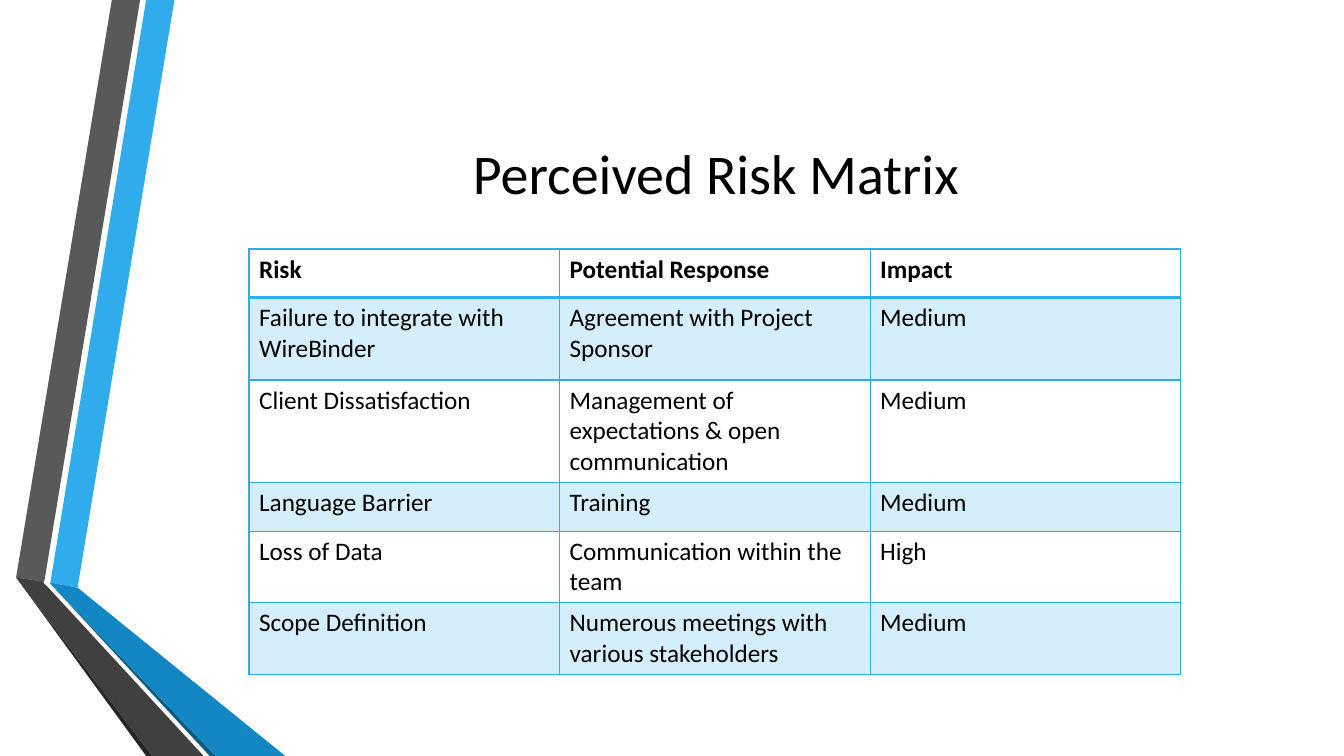
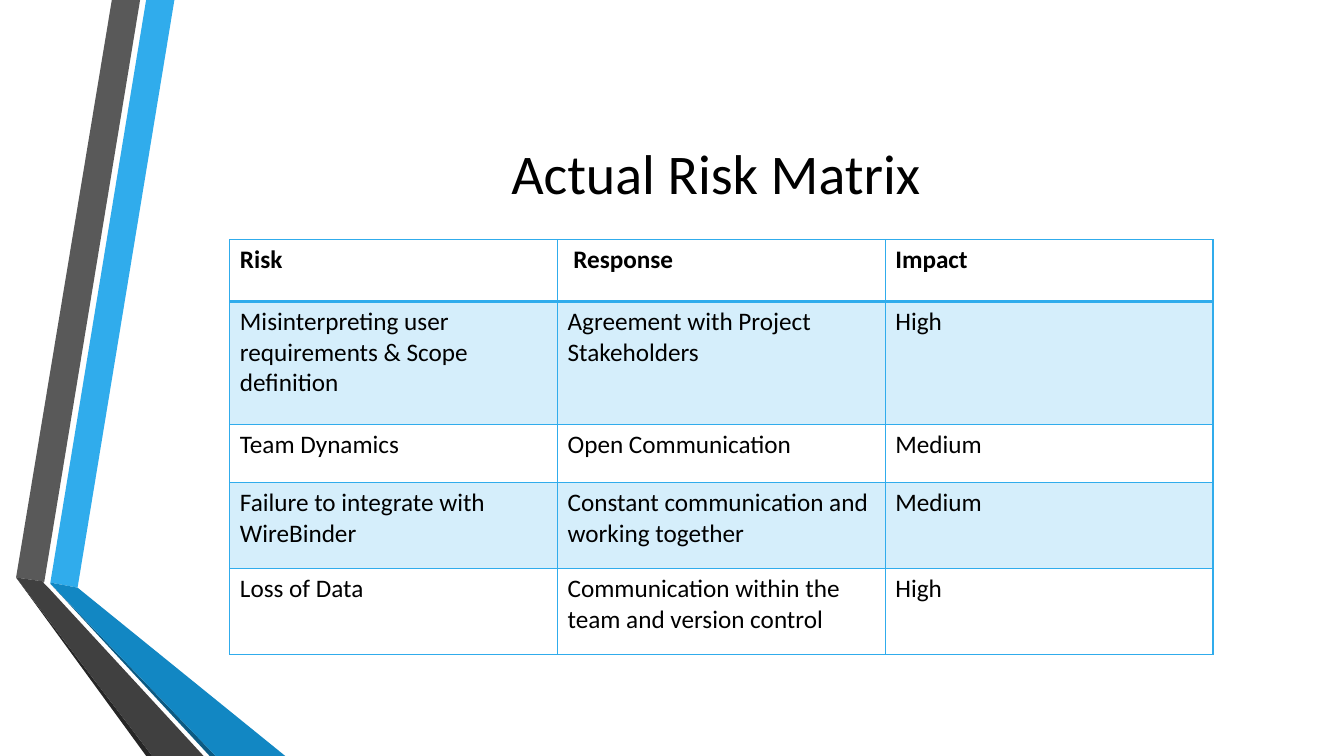
from lxml import etree
from pptx import Presentation
from pptx import util as u
from pptx.dml.color import RGBColor
from pptx.enum import text
from pptx.oxml.ns import qn

FONT, BLACK, SKY = "Calibri", "000000", "30ACEC"
TITLE_BOX = (1.62, 0.75, 10.96, 1.92)
BAND_OPACITY = 20
THIN, THICK = 1, 2

RIBBONS = [
    (SKY, [(0.5, 5.78), (0.77, 5.83), (1.73, 0), (1.45, 0)]),
    ("595959", [(1.39, 0), (1.11, 0), (0.16, 5.73), (0.44, 5.77)]),
    ("262626", [(0.16, 5.73), (1.45, 7.5), (1.51, 7.5)]),
    ("0C5A82", [(0.5, 5.79), (2.08, 7.5), (2.14, 7.5)]),
    ("1287C3", [(0.5, 5.79), (2.14, 7.5), (2.83, 7.5), (0.77, 5.83), (0.5, 5.78)]),
    ("404040", [(2.02, 7.5), (0.48, 5.83), (0.43, 5.78), (0.44, 5.77),
                (0.16, 5.73), (1.51, 7.5)]),
]

MATRICES = [
    {
        "title": "Perceived Risk Matrix",
        "corner": (2.47, 2.47),
        "column": 3.08,
        "heights": [0.48, 0.82, 1.02, 0.48, 0.71, 0.71],
        "rows": [
            ("Risk", "Potential Response", "Impact"),
            ("Failure to integrate with WireBinder", "Agreement with Project Sponsor", "Medium"),
            ("Client Dissatisfaction", "Management of expectations & open communication", "Medium"),
            ("Language Barrier", "Training", "Medium"),
            ("Loss of Data", "Communication within the team", "High"),
            ("Scope Definition", "Numerous meetings with various stakeholders", "Medium"),
        ],
    },
    {
        "title": "Actual Risk Matrix",
        "corner": (2.28, 2.38),
        "column": 3.25,
        "heights": [0.61, 1.22, 0.58, 0.85, 0.85],
        "rows": [
            ("Risk", " Response", "Impact"),
            ("Misinterpreting user requirements & Scope definition",
             "Agreement with Project Stakeholders", "High"),
            ("Team Dynamics", "Open Communication", "Medium"),
            ("Failure to integrate with WireBinder",
             "Constant communication and working together", "Medium"),
            ("Loss of Data", "Communication within the team and version control", "High"),
        ],
    },
]


def color(value):
    return RGBColor.from_string(value)


def write(para, words, size, bold=False):
    span = para.add_run()
    span.text = words
    for name, value in {"name": FONT, "size": u.Pt(size), "bold": bold}.items():
        setattr(span.font, name, value)
    span.font.color.rgb = color(BLACK)


def add_ribbons(page, layout):
    """Draw the ribbons on a page, then move them behind everything in its layout."""
    for index, (fill, points) in enumerate(RIBBONS):
        corners = [(u.Inches(x), u.Inches(y)) for x, y in points]
        builder = page.shapes.build_freeform(*corners[0])
        builder.add_line_segments(corners[1:], close=True)
        ribbon = builder.convert_to_shape()
        ribbon.shadow.inherit = False
        ribbon.fill.solid()
        ribbon.fill.fore_color.rgb = color(fill)
        ribbon.line.fill.background()
        layout.element.cSld.spTree.insert(2 + index, ribbon.element)


def add_title(page, words):
    title = page.shapes.title
    for name, value in zip(("left", "top", "width", "height"), TITLE_BOX):
        setattr(title, name, u.Inches(value))
    title.text_frame.vertical_anchor = text.MSO_ANCHOR.MIDDLE
    para = title.text_frame.paragraphs[0]
    para.alignment = text.PP_ALIGN.CENTER
    write(para, words, 40)


def set_borders(cell, widths):
    properties = cell._tc.get_or_add_tcPr()
    for index, (side, width) in enumerate(widths.items()):
        line = etree.Element(qn(f"a:{side}"), w=str(u.Pt(width)))
        fill = etree.SubElement(line, qn("a:solidFill"))
        etree.SubElement(fill, qn("a:srgbClr"), val=SKY)
        properties.insert(index, line)


def set_fill(cell, banded):
    if not banded:
        cell.fill.background()
        return
    cell.fill.solid()
    cell.fill.fore_color.rgb = color(SKY)
    tint = cell._tc.tcPr.find(f"{qn('a:solidFill')}/{qn('a:srgbClr')}")
    etree.SubElement(tint, qn("a:alpha"), val=str(BAND_OPACITY * 1000))


def add_matrix(page, matrix):
    rows, heights = matrix["rows"], matrix["heights"]
    columns = len(rows[0])
    left, top = matrix["corner"]
    table = page.shapes.add_table(
        len(rows), columns, u.Inches(left), u.Inches(top),
        u.Inches(columns * matrix["column"]), u.Inches(sum(heights))).table
    table.horz_banding = False
    for column in table.columns:
        column.width = u.Inches(matrix["column"])
    for r, (labels, height) in enumerate(zip(rows, heights)):
        table.rows[r].height = u.Inches(height)
        for c, label in enumerate(labels):
            cell = table.cell(r, c)
            write(cell.text_frame.paragraphs[0], label, 18, bold=r == 0)
            set_fill(cell, banded=r % 2 == 1)
            set_borders(cell, {"lnL": THIN, "lnR": THIN,
                               "lnT": THICK if r == 1 else THIN,
                               "lnB": THICK if r == 0 else THIN})


def main():
    deck = Presentation()
    deck.slide_width, deck.slide_height = u.Inches(13.33), u.Inches(7.5)
    layout = deck.slide_layouts.get_by_name("Title Only")
    pages = [deck.slides.add_slide(layout) for _ in MATRICES]
    add_ribbons(pages[0], layout)
    for page, matrix in zip(pages, MATRICES):
        add_title(page, matrix["title"])
        add_matrix(page, matrix)
    deck.save("out.pptx")


if __name__ == "__main__":
    main()
